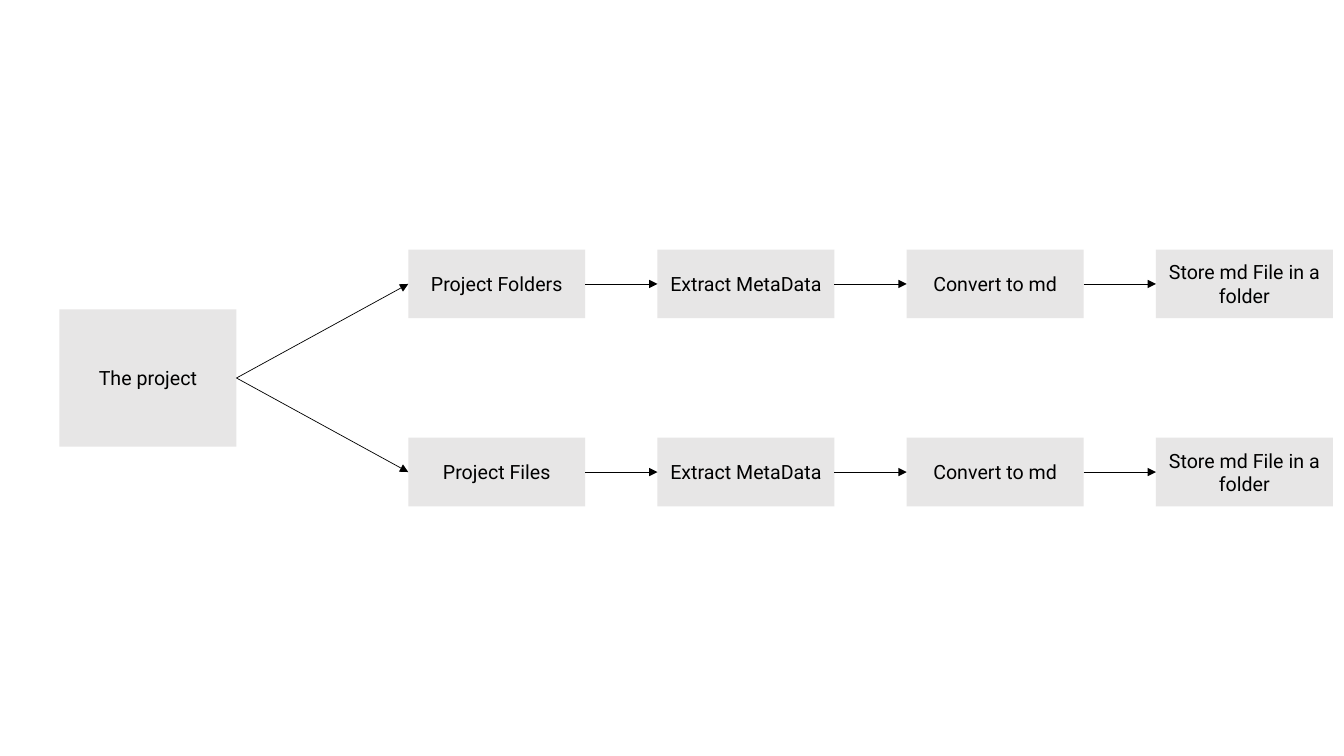
from dataclasses import dataclass

from lxml import etree
from pptx import Presentation
from pptx.dml.color import RGBColor
from pptx.enum.shapes import MSO_CONNECTOR, MSO_SHAPE
from pptx.enum.text import MSO_ANCHOR, PP_ALIGN
from pptx.oxml.ns import qn
from pptx.shapes.autoshape import Shape
from pptx.slide import Slide
from pptx.text.text import TextFrame
from pptx.util import Cm, Pt

RECT = MSO_SHAPE.RECTANGLE
STRAIGHT = MSO_CONNECTOR.STRAIGHT
CENTER = PP_ALIGN.CENTER
MIDDLE = MSO_ANCHOR.MIDDLE
LEFT_SIDE, RIGHT_SIDE = 1, 3

COLORS = {"background": "FFFFFF", "box": "E7E6E6", "text": "000000", "arrow": "000000"}
SLIDE_W, SLIDE_H = 33.87, 19.05
MID_Y = SLIDE_H / 2
BOX_W, STEP_H, PROJECT_H = 4.46, 1.73, 3.46
PROJECT_X, STEP_X, STEP_PITCH = 1.5, 10.29, 6.28
ROW_OFFSET = 2.37
SHARED_STEPS = ["Extract MetaData", "Convert to md", "Store md File in a folder"]


@dataclass(frozen=True)
class Box:
    text: str
    left: float
    mid_y: float
    height: float = STEP_H


@dataclass(frozen=True)
class Flow:
    source: str
    mid_y: float

    def boxes(self) -> list[Box]:
        return [
            Box(text, STEP_X + col * STEP_PITCH, self.mid_y)
            for col, text in enumerate([self.source, *SHARED_STEPS])
        ]


PROJECT = Box("The project", PROJECT_X, MID_Y, PROJECT_H)
FLOWS = [
    Flow("Project Folders", MID_Y - ROW_OFFSET),
    Flow("Project Files", MID_Y + ROW_OFFSET),
]


def rgb(name: str) -> RGBColor:
    return RGBColor.from_string(COLORS[name])


def write(tf: TextFrame, text: str, *, size: float = 14, font: str = "Roboto",
          color: str = "text", align: PP_ALIGN = CENTER) -> None:
    tf.word_wrap = True
    tf.vertical_anchor = MIDDLE
    p = tf.paragraphs[0]
    p.alignment = align
    r = p.add_run()
    r.text = text
    r.font.size = Pt(size)
    r.font.name = font
    r.font.color.rgb = rgb(color)


def draw_box(s: Slide, box: Box) -> Shape:
    top = box.mid_y - box.height / 2
    sp = s.shapes.add_shape(RECT, Cm(box.left), Cm(top), Cm(BOX_W), Cm(box.height))
    sp.shadow.inherit = False
    sp.fill.solid()
    sp.fill.fore_color.rgb = rgb("box")
    sp.line.fill.background()
    write(sp.text_frame, box.text)
    return sp


def draw_arrow(s: Slide, start: Shape, end: Shape) -> None:
    cxn = s.shapes.add_connector(STRAIGHT, 0, 0, 0, 0)
    cxn.begin_connect(start, RIGHT_SIDE)
    cxn.end_connect(end, LEFT_SIDE)
    cxn.line.color.rgb = rgb("arrow")
    cxn.line.width = Pt(0.5)
    etree.SubElement(cxn.line._get_or_add_ln(), qn("a:tailEnd"), type="triangle")
    etree.SubElement(cxn._element.spPr, qn("a:effectLst"))


def main() -> None:
    prs = Presentation()
    prs.slide_width, prs.slide_height = Cm(SLIDE_W), Cm(SLIDE_H)
    s = prs.slides.add_slide(prs.slide_layouts[6])
    s.background.fill.solid()
    s.background.fill.fore_color.rgb = rgb("background")
    project = draw_box(s, PROJECT)
    for flow in FLOWS:
        previous = project
        for box in flow.boxes():
            step = draw_box(s, box)
            draw_arrow(s, previous, step)
            previous = step
    prs.save("out.pptx")


if __name__ == "__main__":
    main()
